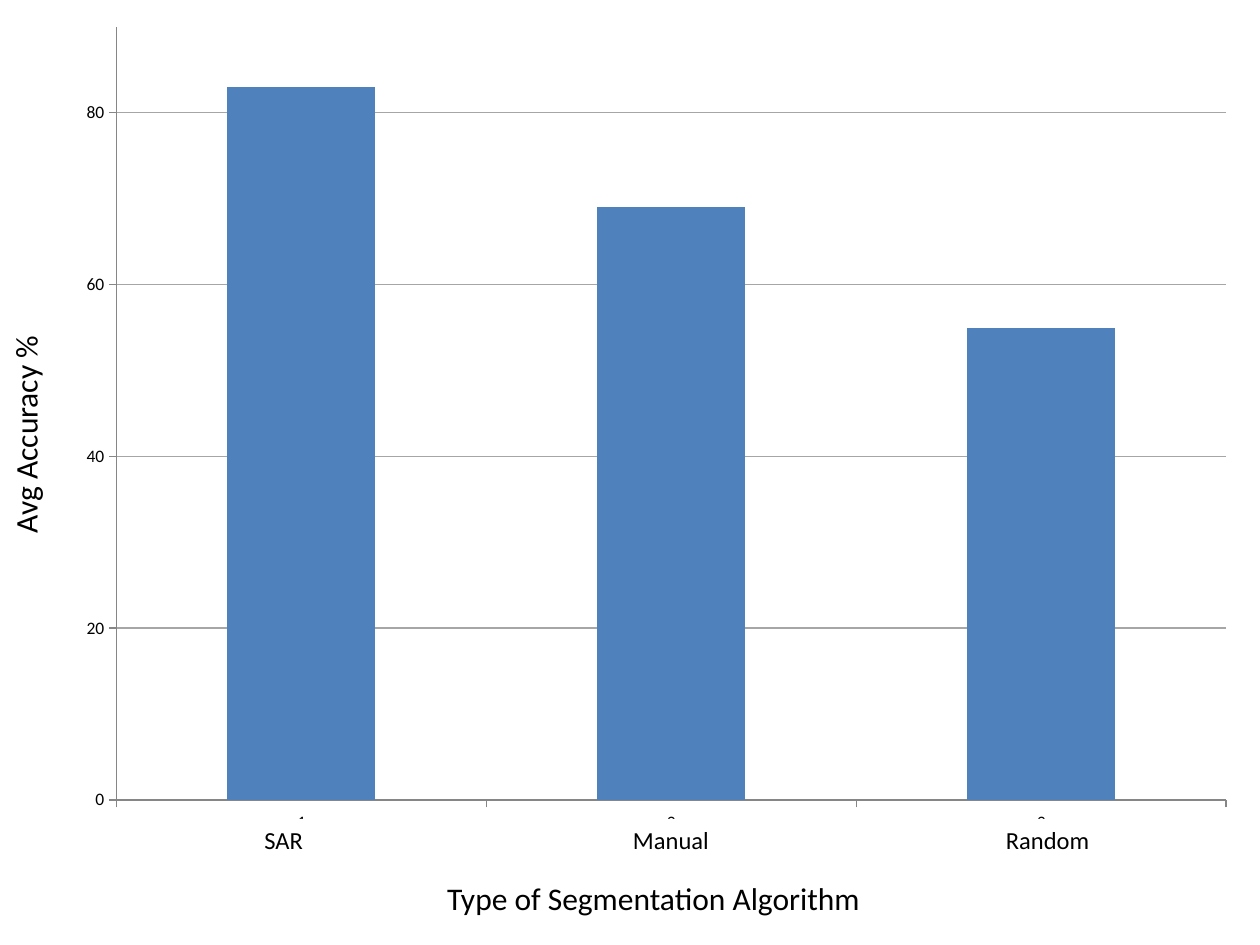
from dataclasses import dataclass

from lxml.etree import SubElement
from pptx import Presentation
from pptx.chart.data import CategoryChartData
from pptx.dml.color import RGBColor
from pptx.enum.chart import XL_CHART_TYPE, XL_TICK_MARK
from pptx.enum.text import PP_ALIGN
from pptx.oxml.ns import qn
from pptx.util import Inches, Pt


@dataclass(frozen=True)
class Theme:
    font: str = "Calibri"
    text: RGBColor = RGBColor(0, 0, 0)
    background: RGBColor = RGBColor(255, 255, 255)
    bar: RGBColor = RGBColor(0x4F, 0x81, 0xBD)
    grid: RGBColor = RGBColor(0xA6, 0xA6, 0xA6)
    axis: RGBColor = RGBColor(0x86, 0x86, 0x86)
    title_size: int = 18
    label_size: int = 14
    tick_size: int = 10


THEME = Theme()


def add_text(slide, text, box, size, align=PP_ALIGN.LEFT, fill=None, rotation=0, wrap=True):
    shape = slide.shapes.add_textbox(*map(Inches, box))
    shape.rotation = rotation
    if fill is not None:
        shape.fill.solid()
        shape.fill.fore_color.rgb = fill
    shape.text_frame.word_wrap = wrap
    paragraph = shape.text_frame.paragraphs[0]
    paragraph.alignment = align
    run = paragraph.add_run()
    run.text = text
    run.font.name = THEME.font
    run.font.size = Pt(size)
    run.font.color.rgb = THEME.text


def set_plot_layout(chart, **fractions):
    plot_area = chart.plots[0]._element.getparent()
    layout = plot_area.find(qn("c:layout"))
    if layout is None:
        layout = SubElement(plot_area, qn("c:layout"))
        plot_area.insert(0, layout)
    manual = SubElement(layout, qn("c:manualLayout"))
    settings = {"layoutTarget": "inner", "xMode": "edge", "yMode": "edge", **fractions}
    for name, value in settings.items():
        SubElement(manual, qn(f"c:{name}")).set("val", str(value))


def style_axis(axis):
    axis.major_tick_mark = XL_TICK_MARK.OUTSIDE
    axis.minor_tick_mark = XL_TICK_MARK.NONE
    axis.format.line.color.rgb = THEME.axis
    axis.format.line.width = Pt(0.75)


def add_accuracy_chart(slide, box, values):
    data = CategoryChartData()
    data.categories = [str(number) for number in range(1, len(values) + 1)]
    data.add_series("Series 1", values)
    chart = slide.shapes.add_chart(
        XL_CHART_TYPE.COLUMN_CLUSTERED, *map(Inches, box), data
    ).chart
    chart.has_legend = False
    chart.has_title = False
    chart.font.name = THEME.font
    chart.font.size = Pt(THEME.tick_size)
    chart.font.color.rgb = THEME.text

    plot = chart.plots[0]
    plot.gap_width = 150
    plot.vary_by_categories = False
    fill = plot.series[0].format.fill
    fill.solid()
    fill.fore_color.rgb = THEME.bar

    style_axis(chart.category_axis)
    value_axis = chart.value_axis
    style_axis(value_axis)
    value_axis.minimum_scale = 0
    value_axis.maximum_scale = 90
    value_axis.major_unit = 20
    value_axis.has_major_gridlines = True
    grid_line = value_axis.major_gridlines.format.line
    grid_line.color.rgb = THEME.grid
    grid_line.width = Pt(0.75)
    set_plot_layout(chart, x=0.045, y=0.02, w=0.935, h=0.92)


def add_category_labels(slide, top, labels):
    for text, left, width, align, wrap in labels:
        add_text(slide, text, (left, top, width, 0.34), THEME.label_size,
                 align=align, fill=THEME.background, wrap=wrap)


def add_accuracy_slide(presentation):
    slide = presentation.slides.add_slide(presentation.slide_layouts[6])
    slide.background.fill.solid()
    slide.background.fill.fore_color.rgb = THEME.background
    add_accuracy_chart(slide, (0.5, 0.08, 9.42, 6.67), (83, 69, 55))
    add_text(slide, "Avg Accuracy % ", (-1.5, 2.1, 3.73, 0.73), THEME.title_size, rotation=270)
    add_text(slide, "Type of Segmentation Algorithm", (3.45, 6.93, 6.38, 0.82), THEME.title_size)
    add_category_labels(slide, 6.5, (
        ("SAR", 2, 0.59, PP_ALIGN.LEFT, True),
        ("Manual", 4.92, 0.81, PP_ALIGN.CENTER, False),
        ("Random", 7.88, 0.87, PP_ALIGN.CENTER, False),
    ))


presentation = Presentation()
presentation.slide_width = Inches(10)
presentation.slide_height = Inches(7.5)
add_accuracy_slide(presentation)
presentation.save("out.pptx")
